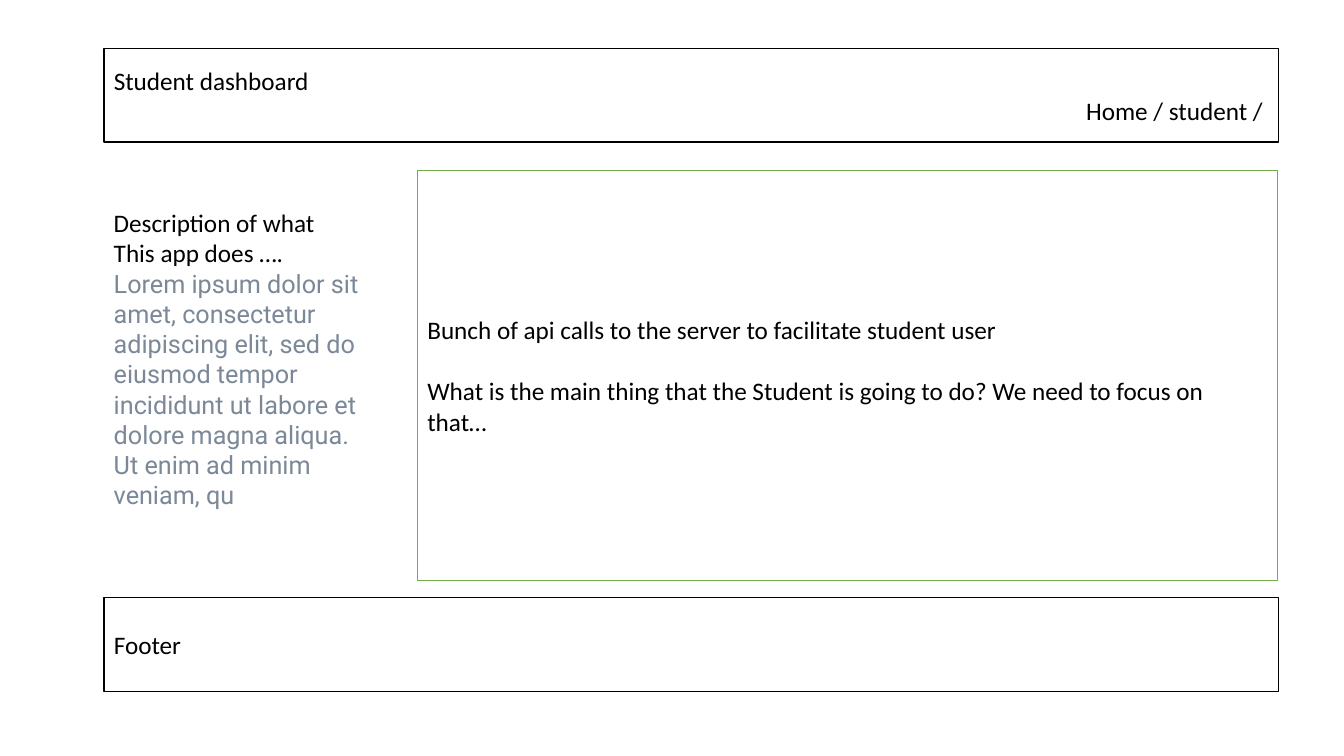
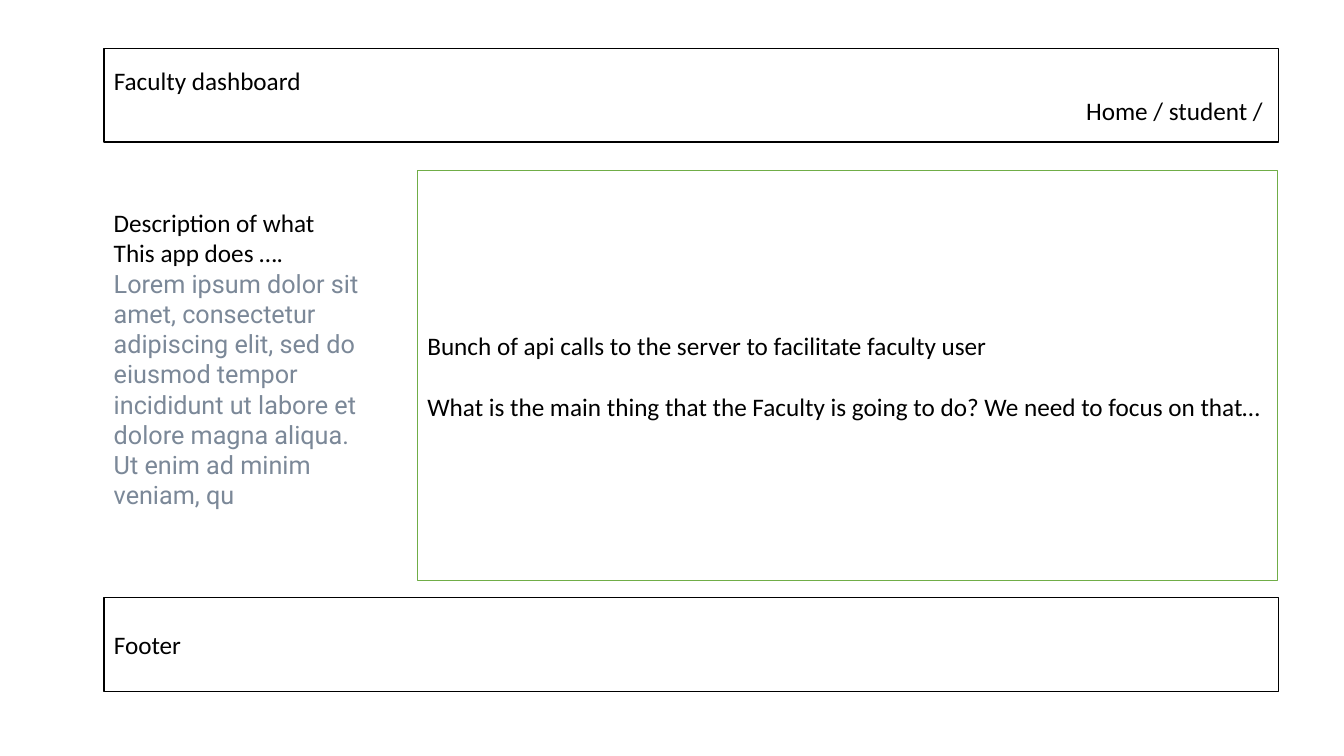
from pptx import Presentation
from pptx.dml.color import RGBColor
from pptx.enum.shapes import MSO_SHAPE
from pptx.enum.text import MSO_ANCHOR, PP_ALIGN
from pptx.util import Inches, Pt

RECTANGLE = MSO_SHAPE.RECTANGLE
MIDDLE = MSO_ANCHOR.MIDDLE
LEFT, RIGHT = PP_ALIGN.LEFT, PP_ALIGN.RIGHT

BLACK = RGBColor(0x00, 0x00, 0x00)
WHITE = RGBColor(0xFF, 0xFF, 0xFF)
GREEN = RGBColor(0x70, 0xAD, 0x47)
GRAY = RGBColor(0x7B, 0x88, 0x98)

BODY_FONT, SAMPLE_FONT = "Calibri", "Roboto"
TEXT_SIZE = Pt(18)
LINE_GAP = Pt(22)

MARGIN, BAND_WIDTH, BAND_HEIGHT = 1.03, 11.65, 0.93
DESCRIPTION = [
    "Description of what",
    "This app does ….",
    "Lorem ipsum dolor sit amet, consectetur adipiscing elit, sed do eiusmod "
    "tempor incididunt ut labore et dolore magna aliqua. Ut enim ad minim veniam, qu",
]


def write_lines(box, lines):
    frame = box.text_frame
    frame.word_wrap = True
    frame.text = "\n".join(lines)
    for para in frame.paragraphs:
        para.alignment = LEFT
        for span in para.runs:
            span.font.name = BODY_FONT
            span.font.size = TEXT_SIZE
            span.font.color.rgb = BLACK
    return frame.paragraphs


def add_panel(page, left, top, width, height, line_color, lines):
    box = page.shapes.add_shape(
        RECTANGLE, Inches(left), Inches(top), Inches(width), Inches(height))
    box.shadow.inherit = False
    box.fill.solid()
    box.fill.fore_color.rgb = WHITE
    box.line.color.rgb = line_color
    box.line.width = Pt(1)
    box.text_frame.vertical_anchor = MIDDLE
    return write_lines(box, lines)


deck = Presentation()
deck.slide_width, deck.slide_height = Inches(13.33), Inches(7.5)
blank_layout = deck.slide_layouts[6]

for role in ("Student", "Faculty"):
    page = deck.slides.add_slide(blank_layout)

    # Header band with breadcrumb
    header = add_panel(page, MARGIN, 0.48, BAND_WIDTH, BAND_HEIGHT, BLACK,
                       [f"{role} dashboard", "Home / student / "])
    header[1].alignment = RIGHT

    # Description column
    column = page.shapes.add_textbox(
        Inches(MARGIN), Inches(2.01), Inches(2.64), Inches(3.43))
    sample = write_lines(column, DESCRIPTION)[-1].runs[0]
    sample.font.name = SAMPLE_FONT
    sample.font.color.rgb = GRAY

    # Footer band
    add_panel(page, MARGIN, 5.93, BAND_WIDTH, BAND_HEIGHT, BLACK, ["Footer"])

    # Main content
    content = add_panel(page, 4.14, 1.69, 8.53, 4.07, GREEN, [
        f"Bunch of api calls to the server to facilitate {role.lower()} user",
        f"What is the main thing that the {role} is going to do? "
        "We need to focus on that…",
    ])
    content[1].space_before = LINE_GAP

deck.save("out.pptx")
